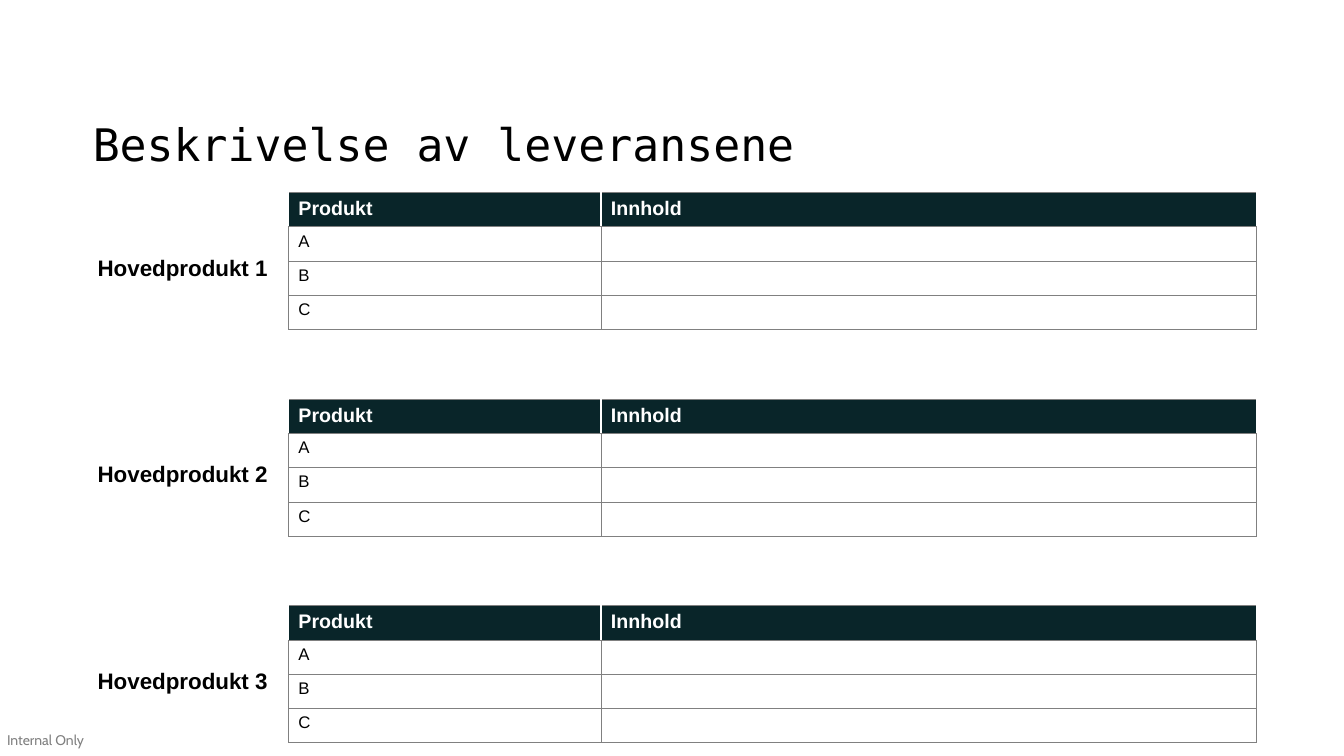
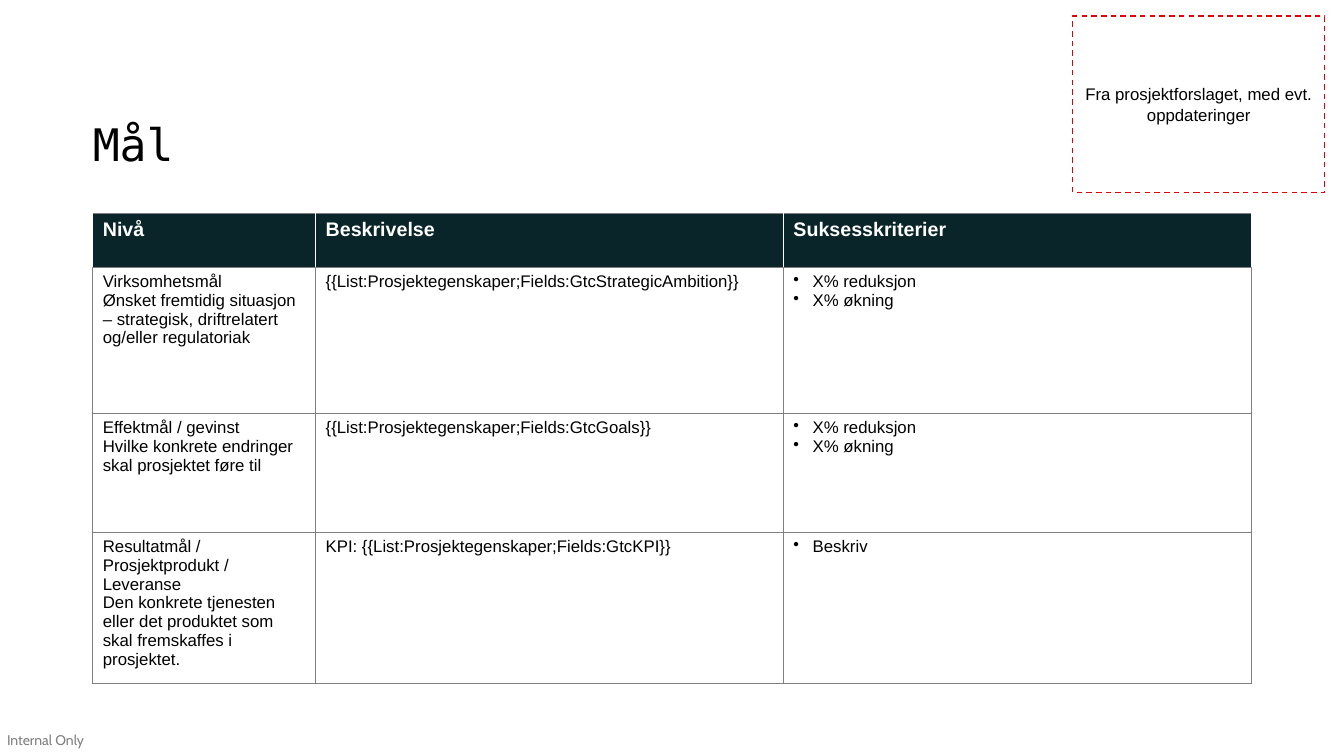
"""Build two project slides: a list of deliverables and a table of goals."""
from lxml import etree
from pptx import Presentation
from pptx.dml.color import RGBColor
from pptx.enum import dml, shapes, text
from pptx.oxml.ns import qn
from pptx.util import Inches, Pt

BLACK = RGBColor(0x00, 0x00, 0x00)
WHITE = RGBColor(0xFF, 0xFF, 0xFF)
GREY = RGBColor(0x80, 0x80, 0x80)
DARK_TEAL = RGBColor(0x09, 0x25, 0x29)
RED = RGBColor(0xE4, 0x00, 0x08)
BODY_FONT = "Arial"
BULLET = "• "


def add_page(deck, heading):
    page = deck.slides.add_slide(deck.slide_layouts.get_by_name("Title Only"))
    title = page.shapes.title
    title.left, title.top = Inches(0.92), Inches(0.56)
    title.width, title.height = Inches(11.5), Inches(1.18)
    frame = title.text_frame
    frame.text = heading
    frame.auto_size = text.MSO_AUTO_SIZE.NONE
    frame.vertical_anchor = text.MSO_ANCHOR.BOTTOM
    frame.margin_left = frame.margin_right = 0
    para = frame.paragraphs[0]
    para.alignment = text.PP_ALIGN.LEFT
    para.font.name, para.font.size = "DejaVu Sans Mono", Pt(32)
    para.font.color.rgb = BLACK

    footer = page.shapes.add_textbox(Inches(0.07), Inches(7.26), Inches(0.8), Inches(0.17)).text_frame
    footer.margin_left = footer.margin_top = footer.margin_right = footer.margin_bottom = 0
    footer.text = "Internal Only"
    para = footer.paragraphs[0]
    para.font.name, para.font.size = "Cabin", Pt(10)
    para.font.color.rgb = GREY
    return page


def add_grid(page, left, top, widths, heights, rows):
    grid = page.shapes.add_table(
        len(rows), len(widths), Inches(left), Inches(top), Inches(sum(widths)), Inches(sum(heights))
    ).table
    grid.horz_banding = False
    for column, width in zip(grid.columns, widths):
        column.width = Inches(width)
    for row_index, (row, height, values) in enumerate(zip(grid.rows, heights, rows)):
        row.height = Inches(height)
        header = row_index == 0
        for cell, value in zip(row.cells, values):
            properties = cell._tc.get_or_add_tcPr()
            for side in ("lnL", "lnR", "lnT", "lnB"):
                white_edge = header and side in ("lnL", "lnR")
                edge = etree.SubElement(properties, qn(f"a:{side}"), w=str(Pt(1 if white_edge else 0.5)))
                fill = etree.SubElement(edge, qn("a:solidFill"))
                etree.SubElement(fill, qn("a:srgbClr"), val=str(WHITE if white_edge else GREY))
            cell.fill.solid()
            cell.fill.fore_color.rgb = DARK_TEAL if header else WHITE
            cell.text = value.replace(BULLET, "")
            for para, line in zip(cell.text_frame.paragraphs, value.split("\n")):
                if line.startswith(BULLET):
                    indent = Inches(0.19)
                    layout = para._p.get_or_add_pPr()
                    layout.set("marL", str(indent))
                    layout.set("indent", str(-indent))
                    etree.SubElement(layout, qn("a:buChar"), char=BULLET.strip())
                para.font.name = BODY_FONT
                para.font.size = Pt(14 if header else 12)
                para.font.bold = header
                para.font.color.rgb = WHITE if header else BLACK
                if not line:
                    etree.SubElement(para._p, qn("a:endParaRPr"), sz="1200")


deck = Presentation()
deck.slide_width, deck.slide_height = Inches(13.33), Inches(7.5)

page = add_page(deck, "Beskrivelse av leveransene")
product_rows = [("Produkt", "Innhold"), ("A", ""), ("B", ""), ("C", "")]
for index in range(3):
    top = 1.91 + 2.05 * index
    add_grid(page, 2.86, top, [3.1, 6.5], [0.34] * 4, product_rows)
    label = page.shapes.add_textbox(Inches(0.87), Inches(top + 0.56), Inches(2.23), Inches(0.37)).text_frame
    label.word_wrap = True
    label.text = f"Hovedprodukt {index + 1}"
    para = label.paragraphs[0]
    para.font.name, para.font.size, para.font.bold = BODY_FONT, Pt(16), True
    para.font.color.rgb = BLACK

page = add_page(deck, "Mål")
goal_rows = [
    ("Nivå", "Beskrivelse", "Suksesskriterier"),
    (
        "Virksomhetsmål\nØnsket fremtidig situasjon – strategisk, driftrelatert og/eller regulatoriak",
        "{{List:Prosjektegenskaper;Fields:GtcStrategicAmbition}}",
        "• X% reduksjon\n• X% økning",
    ),
    (
        "Effektmål / gevinst\nHvilke konkrete endringer skal prosjektet føre til",
        "{{List:Prosjektegenskaper;Fields:GtcGoals}}",
        "• X% reduksjon\n• X% økning",
    ),
    (
        "Resultatmål / Prosjektprodukt / Leveranse\n"
        "Den konkrete tjenesten eller det produktet som skal fremskaffes i prosjektet.",
        "KPI: {{List:Prosjektegenskaper;Fields:GtcKPI}}",
        "• Beskriv",
    ),
]
add_grid(page, 0.92, 2.12, [2.21, 4.64, 4.64], [0.53, 1.45, 1.18, 1.45], goal_rows)

note = page.shapes.add_shape(
    shapes.MSO_SHAPE.RECTANGLE, Inches(10.64), Inches(0.16), Inches(2.5), Inches(1.75)
)
note.shadow.inherit = False
note.fill.solid()
note.fill.fore_color.rgb = WHITE
note.line.color.rgb = RED
note.line.width = Pt(1)
note.line.dash_style = dml.MSO_LINE.DASH
note.text_frame.text = "Fra prosjektforslaget, med evt. oppdateringer"
note.text_frame.word_wrap = True
note.text_frame.vertical_anchor = text.MSO_ANCHOR.MIDDLE
para = note.text_frame.paragraphs[0]
para.alignment = text.PP_ALIGN.CENTER
para.font.name, para.font.size = BODY_FONT, Pt(12)
para.font.color.rgb = BLACK

deck.save("out.pptx")
